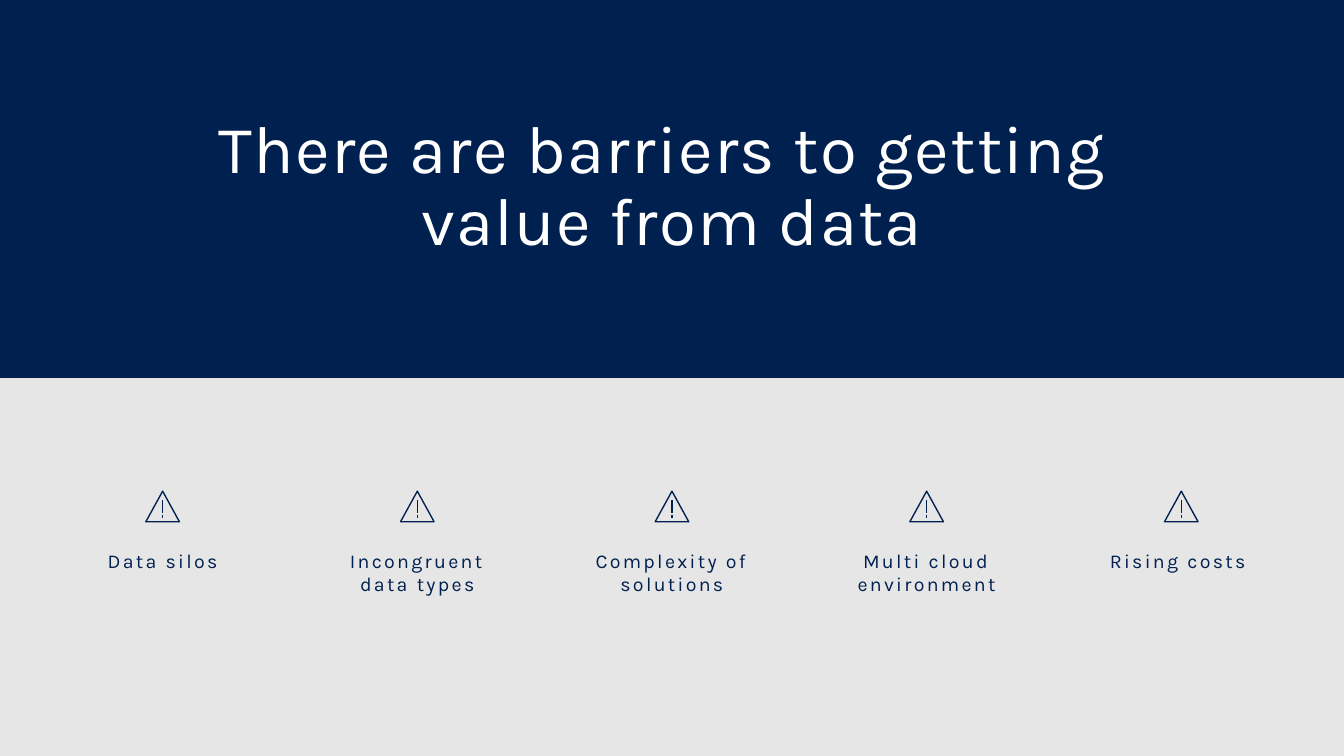
"""Build a slide naming five barriers to getting value from data."""
from dataclasses import dataclass

from lxml import etree
from pptx import Presentation, util as u
from pptx.dml.color import RGBColor
from pptx.enum import shapes, text
from pptx.oxml import ns

HEADLINE = "There are barriers to getting \vvalue from data"
BARRIERS = [
    "Data silos",
    "Incongruent data types",
    "Complexity of solutions",
    "Multi cloud environment",
    "Rising costs ",
]


@dataclass(frozen=True)
class Theme:
    navy: RGBColor = RGBColor.from_string("002050")
    grey: RGBColor = RGBColor.from_string("E6E6E6")
    white: RGBColor = RGBColor.from_string("FFFFFF")
    font: str = "Karla"
    headline_size: float = 49
    label_size: float = 14.3
    stroke: float = 1


THEME = Theme()
WIDTH, HEIGHT = 13.6, 7.65
COLUMN_PITCH = 2.577
LABEL_TOP, LABEL_WIDTH, LABEL_HEIGHT = 5.5, 1.94, 0.59
SIGN_TOP, SIGN_WIDTH, SIGN_HEIGHT = 4.97, 0.34, 0.31
SIGN_MARKS = [(0.09, 0.22), (0.24, 0.27)]


def inches(*lengths):
    return [u.Inches(length) for length in lengths]


def write(holder, wording, *, size, color, tracking, spacing=1.0,
          anchor=text.MSO_ANCHOR.TOP):
    frame = holder.text_frame
    frame.word_wrap = True
    frame.auto_size = text.MSO_AUTO_SIZE.NONE
    frame.vertical_anchor = anchor
    frame.margin_left = frame.margin_right = u.Inches(0.1)
    frame.margin_top = frame.margin_bottom = u.Inches(0.05)
    paragraph = frame.paragraphs[0]
    paragraph.text = wording
    paragraph.alignment = text.PP_ALIGN.CENTER
    paragraph.line_spacing = spacing
    paragraph.space_before = u.Pt(0)
    for run in paragraph.runs:
        run.font.name = THEME.font
        run.font.size = u.Pt(size)
        run.font.color.rgb = color
        run.font.bold = False
        run.font._element.set("spc", str(round(tracking * 100)))


def outline(part):
    part.line.color.rgb = THEME.navy
    part.line.width = u.Pt(THEME.stroke)


def draw_warning_sign(slide, center):
    sign = slide.shapes.add_group_shape()
    triangle = sign.shapes.add_shape(
        shapes.MSO_SHAPE.ISOSCELES_TRIANGLE,
        *inches(center - SIGN_WIDTH / 2, SIGN_TOP, SIGN_WIDTH, SIGN_HEIGHT))
    triangle.shadow.inherit = False
    triangle.fill.background()
    outline(triangle)
    for start, end in SIGN_MARKS:
        mark = sign.shapes.add_connector(
            shapes.MSO_CONNECTOR.STRAIGHT,
            *inches(center, SIGN_TOP + start, center, SIGN_TOP + end))
        outline(mark)
        etree.SubElement(mark.element.spPr, ns.qn("a:effectLst"))


def main():
    deck = Presentation()
    deck.slide_width, deck.slide_height = inches(WIDTH, HEIGHT)
    slide = deck.slides.add_slide(deck.slide_layouts.get_by_name("Title Only"))
    slide.background.fill.solid()
    slide.background.fill.fore_color.rgb = THEME.grey

    banner = slide.shapes.add_shape(
        shapes.MSO_SHAPE.RECTANGLE, *inches(0, 0, WIDTH, HEIGHT / 2))
    banner.shadow.inherit = False
    banner.fill.solid()
    banner.fill.fore_color.rgb = THEME.navy
    banner.line.fill.background()

    headline = slide.shapes.title
    headline.element.addprevious(banner.element)
    headline.left, headline.top, headline.width, headline.height = inches(
        0.3, 1.13, WIDTH - 2 * 0.3, 1.54)
    write(headline, HEADLINE, size=THEME.headline_size, color=THEME.white,
          tracking=1, spacing=0.9, anchor=text.MSO_ANCHOR.MIDDLE)

    for column, barrier in enumerate(BARRIERS):
        center = WIDTH / 2 + (column - (len(BARRIERS) - 1) / 2) * COLUMN_PITCH
        label = slide.shapes.add_textbox(*inches(
            center - LABEL_WIDTH / 2, LABEL_TOP, LABEL_WIDTH, LABEL_HEIGHT))
        write(label, barrier, size=THEME.label_size, color=THEME.navy,
              tracking=1.7)
        draw_warning_sign(slide, center)

    deck.save("out.pptx")


if __name__ == "__main__":
    main()
